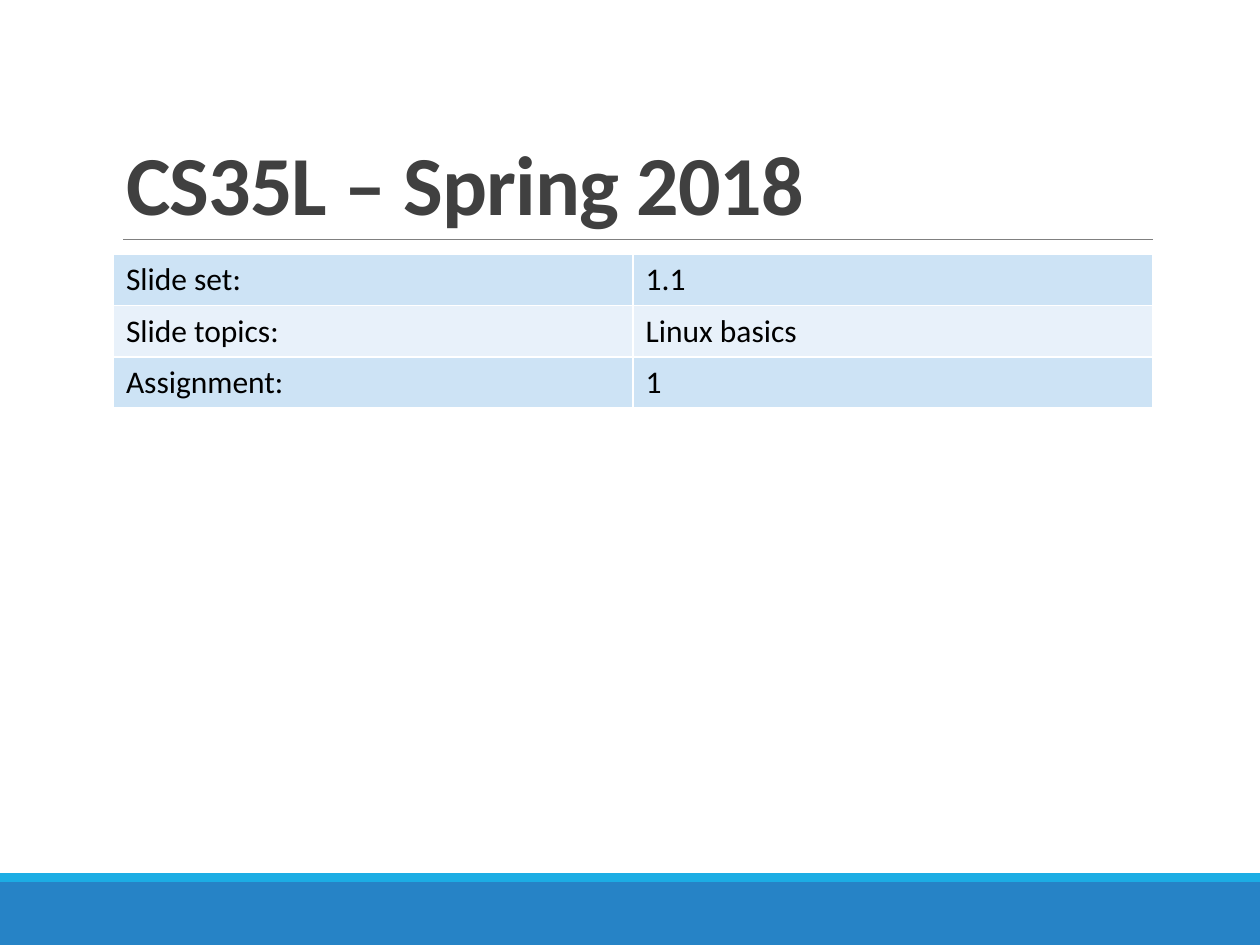
import pptx
import pptx.dml.color
import pptx.enum.shapes
import pptx.enum.text
import pptx.oxml
import pptx.oxml.ns
import pptx.util
from pptx.util import Inches

COLORS = {
    "footer": "2683C6",
    "accent": "1CADE4",
    "rule": "808080",
    "title": "404040",
    "text": "000000",
    "band_dark": "CDE3F5",
    "band_light": "E8F1FA",
    "border": "FFFFFF",
}
FONT = "Calibri"
DETAILS = [
    ("Slide set:", "1.1"),
    ("Slide topics:", "Linux basics"),
    ("Assignment:", "1"),
]


def rgb(name):
    """Return the named palette colour."""
    return pptx.dml.color.RGBColor.from_string(COLORS[name])


def add_text(paragraph, text, size, color, bold=False):
    """Append a formatted run to a paragraph and return it."""
    run = paragraph.add_run()
    run.text = text
    run.font.name = FONT
    run.font.size = pptx.util.Pt(size)
    run.font.bold = bold
    run.font.color.rgb = rgb(color)
    return run


def add_footer(slide, left, top, width, height):
    """Fill the box with a thin accent strip above a wide band."""
    strip = Inches(0.07)
    bands = [
        ("footer", top + strip, height - strip),
        ("accent", top, strip),
    ]
    for color, band_top, band_height in bands:
        band = slide.shapes.add_shape(
            pptx.enum.shapes.MSO_SHAPE.RECTANGLE, left, band_top, width, band_height
        )
        band.shadow.inherit = False
        band.fill.solid()
        band.fill.fore_color.rgb = rgb(color)
        band.line.fill.background()


def add_heading(slide, left, top, width, height):
    """Place the title at the bottom of the box, underlined by a rule."""
    bottom, right = top + height, left + width
    rule = slide.shapes.add_connector(
        pptx.enum.shapes.MSO_CONNECTOR.STRAIGHT, left + Inches(0.08), bottom, right, bottom
    )
    rule.line.color.rgb = rgb("rule")
    rule.line.width = pptx.util.Pt(0.5)
    rule._element.spPr.append(pptx.oxml.parse_xml(
        f"<a:effectLst {pptx.oxml.ns.nsdecls('a')}/>"
    ))

    heading = slide.shapes.title
    heading.left, heading.top, heading.width, heading.height = left, top, width, height
    frame = heading.text_frame
    frame.word_wrap = True
    frame.auto_size = pptx.enum.text.MSO_AUTO_SIZE.NONE
    frame.vertical_anchor = pptx.enum.text.MSO_ANCHOR.BOTTOM
    paragraph = frame.paragraphs[0]
    paragraph.alignment = pptx.enum.text.PP_ALIGN.LEFT
    paragraph.line_spacing = 0.85
    course = add_text(paragraph, "CS35L – Spring 2018", 48, "title", bold=True)
    course.font._element.set("spc", "-50")


def add_borders(cell):
    """Draw a one-point border on every side of a cell."""
    properties = cell._tc.get_or_add_tcPr()
    for index, side in enumerate(("lnL", "lnR", "lnT", "lnB")):
        properties.insert(index, pptx.oxml.parse_xml(
            f'<a:{side} {pptx.oxml.ns.nsdecls("a")} w="12700"><a:solidFill>'
            f'<a:srgbClr val="{COLORS["border"]}"/></a:solidFill></a:{side}>'
        ))


def add_details(slide, left, top, width, height):
    """Place the banded table of lecture details in the box."""
    details = slide.shapes.add_table(
        len(DETAILS), len(DETAILS[0]), left, top, width, height
    ).table
    details.first_row = False
    for row, entries in enumerate(DETAILS):
        for column, entry in enumerate(entries):
            cell = details.cell(row, column)
            cell.fill.solid()
            cell.fill.fore_color.rgb = rgb("band_light" if row % 2 else "band_dark")
            add_borders(cell)
            add_text(cell.text_frame.paragraphs[0], entry, 18, "text")


def main():
    """Build and save the course opening slide."""
    deck = pptx.Presentation()
    deck.slide_width, deck.slide_height = Inches(10), Inches(7.5)
    slide = deck.slides.add_slide(deck.slide_layouts[5])
    add_footer(slide, 0, Inches(6.93), Inches(10), Inches(0.57))
    add_heading(slide, Inches(0.9), Inches(0.31), Inches(8.25), Inches(1.59))
    add_details(slide, Inches(0.9), Inches(2.02), Inches(8.25), Inches(1.22))
    deck.save("out.pptx")


if __name__ == "__main__":
    main()
